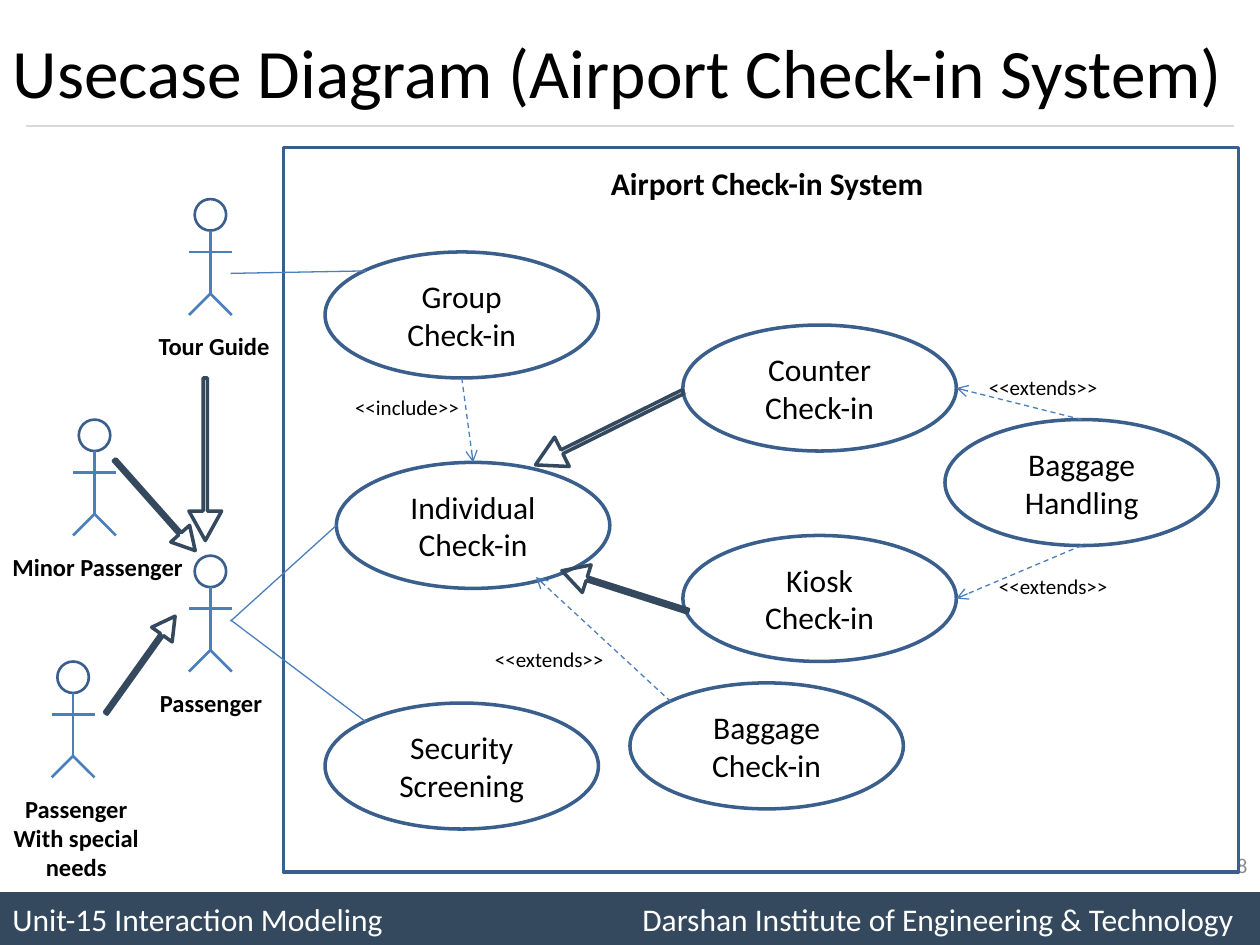
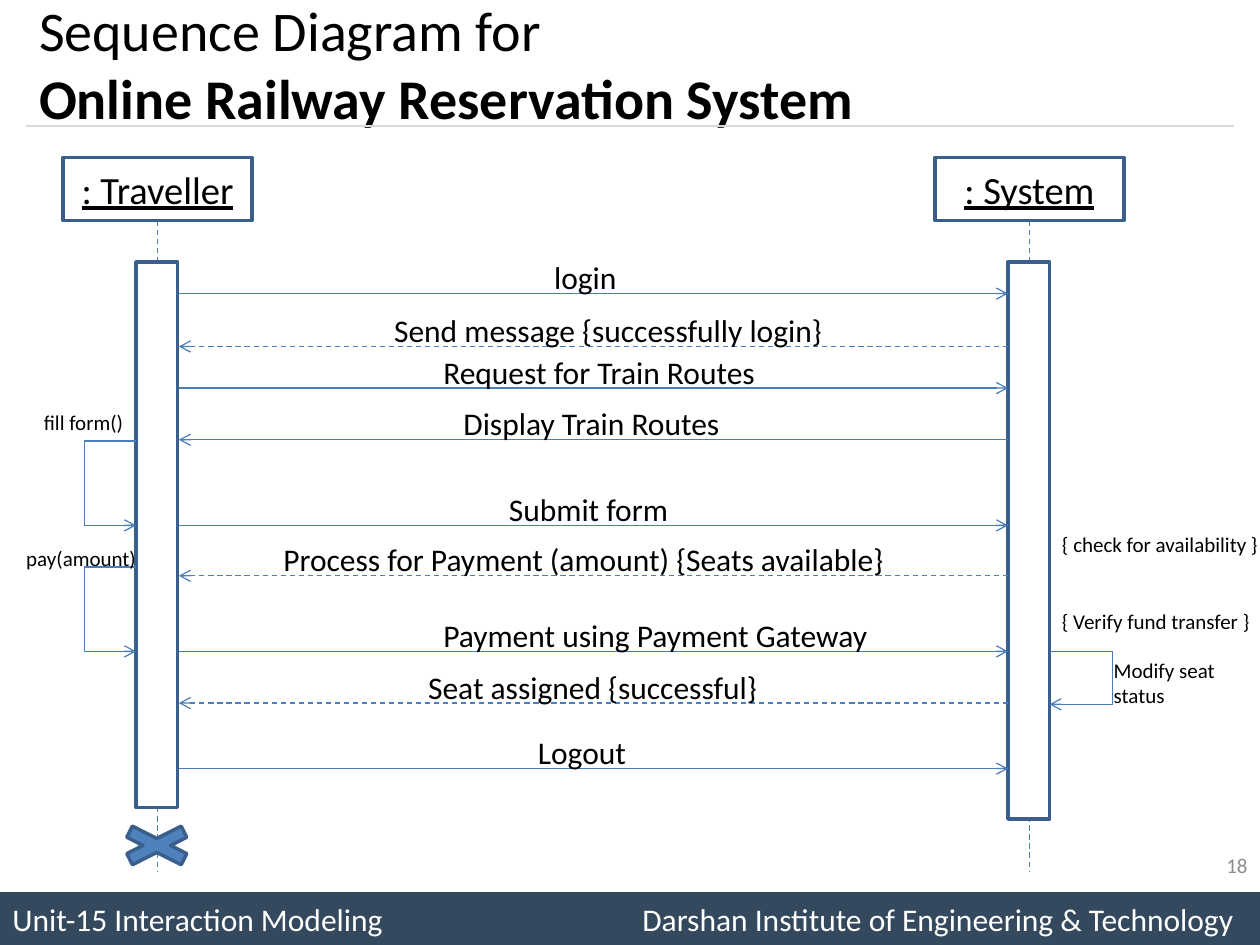
from math import hypot

from lxml.etree import SubElement
from pptx import Presentation
from pptx.dml.color import RGBColor
from pptx.enum.dml import MSO_LINE
from pptx.enum.shapes import MSO_CONNECTOR, MSO_SHAPE as SHAPE
from pptx.enum.text import MSO_ANCHOR as ANCHOR, MSO_AUTO_SIZE as FIT, PP_ALIGN as ALIGN
from pptx.oxml.ns import qn
from pptx.util import Inches, Pt

FONT = "Calibri"
COLORS = {
    "text": "000000", "paper": "FFFFFF", "band": "34495E", "rule": "D9D9D9",
    "number": "8C8C8C", "edge": "3A5F8C", "line": "4B7EBC", "cross": "4F81BD",
}
CASE_W, CASE_H = 2.17, 1
CORNER = (0.15, 0.15)
TOP, BOTTOM, LEFT, RIGHT = (0.5, 0), (0.5, 1), (0, 0.5), (1, 0.5)


def rgb(name):
    return RGBColor.from_string(COLORS[name])


def place(sp, x, y, w, h):
    sp.left, sp.top, sp.width, sp.height = (Inches(v) for v in (x, y, w, h))


def add_run(p, text, size, color="text", bold=False, underline=False):
    r = p.add_run()
    r.text = text
    r.font.name, r.font.size = FONT, Pt(size)
    r.font.bold, r.font.underline = bold, underline
    r.font.color.rgb = rgb(color)


def write(tf, lines, size, align=ALIGN.LEFT, **look):
    for i, text in enumerate(lines):
        p = tf.add_paragraph() if i else tf.paragraphs[0]
        p.alignment = align
        add_run(p, text, size, **look)


def add_label(s, x, y, w, lines, size, align=ALIGN.LEFT, **look):
    h = 0.1 + len(lines) * size * 1.2 / 72
    tf = s.shapes.add_textbox(*(Inches(v) for v in (x, y, w, h))).text_frame
    tf.word_wrap = False
    write(tf, lines, size, align, **look)


def add_box(shapes, kind, x, y, w, h, fill="paper", edge="edge", width=2):
    sp = shapes.add_shape(kind, *(Inches(v) for v in (x, y, w, h)))
    sp.shadow.inherit = False
    sp.fill.solid()
    sp.fill.fore_color.rgb = rgb(fill)
    if edge:
        sp.line.color.rgb = rgb(edge)
        sp.line.width = Pt(width)
    else:
        sp.line.fill.background()
    sp.text_frame.vertical_anchor = ANCHOR.MIDDLE
    return sp


def add_line(shapes, start, end, color="line", width=0.75, dash=False, arrow=False):
    c = shapes.add_connector(MSO_CONNECTOR.STRAIGHT, *(Inches(v) for v in (*start, *end)))
    c.line.color.rgb = rgb(color)
    c.line.width = Pt(width)
    if dash:
        c.line.dash_style = MSO_LINE.DASH
    spPr = c._element.spPr
    if arrow:
        SubElement(spPr.find(qn("a:ln")), qn("a:tailEnd"), type="arrow")
    SubElement(spPr, qn("a:effectLst"))


def add_generalization(s, tail, tip, head):
    dx, dy = tip[0] - tail[0], tip[1] - tail[1]
    length = hypot(dx, dy)
    ux, uy = dx / length, dy / length
    neck, half, shaft = length - 0.9 * head, head / 2, 0.065 * head
    outline = [(0, shaft), (neck, shaft), (neck, half), (length, 0),
               (neck, -half), (neck, -shaft), (0, -shaft)]
    points = [(Inches(tail[0] + a * ux - b * uy), Inches(tail[1] + a * uy + b * ux))
              for a, b in outline]
    fb = s.shapes.build_freeform(*points[0])
    fb.add_line_segments(points[1:], close=True)
    sp = fb.convert_to_shape()
    sp.shadow.inherit = False
    sp.fill.background()
    sp.line.color.rgb = rgb("band")
    sp.line.width = Pt(2)


def add_footer(s, y):
    band = add_box(s.shapes, SHAPE.RECTANGLE, 0, y, 10, 0.42, "band", None)
    p = band.text_frame.paragraphs[0]
    p.alignment = ALIGN.LEFT
    tabs = SubElement(p._p.get_or_add_pPr(), qn("a:tabLst"))
    SubElement(tabs, qn("a:tab"), pos=str(Inches(5)), algn="l")
    add_run(p, "Unit-15 Interaction Modeling\tDarshan Institute of Engineering & Technology",
            18, "paper")


def new_slide(prs, title, size, title_box, number):
    s = prs.slides.add_slide(prs.slide_layouts[5])
    add_footer(s, 7.08)
    add_line(s.shapes, (0.21, 1), (9.79, 1), "rule")
    sp = s.shapes.title
    place(sp, *title_box)
    tf = sp.text_frame
    tf.auto_size, tf.vertical_anchor, tf.word_wrap = FIT.NONE, ANCHOR.MIDDLE, True
    p = tf.paragraphs[0]
    p.alignment = ALIGN.LEFT
    for i, text in enumerate(title):
        if i:
            p.add_line_break()
        add_run(p, text, size, bold=i > 0)
    add_label(s, 7.67, 6.72, 2.33, [number], 12, ALIGN.RIGHT, color="number")
    s.shapes[-1].text_frame.word_wrap = True
    return s


def add_actor(s, cx, y):
    shapes = s.shapes.add_group_shape().shapes
    add_box(shapes, SHAPE.OVAL, cx - 0.125, y, 0.25, 0.25, width=1.5)
    hip = (cx, y + 0.75)
    limbs = [((cx, y + 0.25), hip), ((cx - 0.17, y + 0.42), (cx + 0.17, y + 0.42))]
    limbs += [(hip, (cx + side, y + 0.92)) for side in (-0.17, 0.17)]
    for start, end in limbs:
        add_line(shapes, start, end, width=1.5)


def add_system(s, x, y, w, h):
    add_box(s.shapes, SHAPE.RECTANGLE, x, y, w, h)
    add_label(s, x + 2.5, y + 0.08, 2.71, ["Airport Check-in System"], 18, bold=True)
    cases = {
        "group": (0.33, 0.83, ["Group", "Check-in"]),
        "individual": (0.42, 2.5, ["Individual", "Check-in"]),
        "bags": (2.75, 4.25, ["Baggage", "Check-in"]),
        "counter": (3.17, 1.41, ["Counter", "Check-in"]),
        "kiosk": (3.17, 3.08, ["Kiosk", "Check-in"]),
        "security": (0.33, 4.41, ["Security Screening"]),
        "handling": (5.25, 2.16, ["Baggage Handling"]),
    }
    for dx, dy, lines in cases.values():
        sp = add_box(s.shapes, SHAPE.OVAL, x + dx, y + dy, CASE_W, CASE_H)
        write(sp.text_frame, lines, 18, ALIGN.CENTER)

    def site(name, at):
        dx, dy, _ = cases[name]
        return x + dx + at[0] * CASE_W, y + dy + at[1] * CASE_H

    for a, a_at, b, b_at in [
        ("handling", TOP, "counter", RIGHT),
        ("handling", BOTTOM, "kiosk", RIGHT),
        ("bags", CORNER, "individual", (0.73, 0.91)),
        ("group", BOTTOM, "individual", TOP),
    ]:
        add_line(s.shapes, site(a, a_at), site(b, b_at), dash=True, arrow=True)
    add_generalization(s, (x + 3.17, y + 1.94), (x + 2, y + 2.52), 0.26)
    add_generalization(s, (x + 3.21, y + 3.68), (x + 2.21, y + 3.36), 0.23)
    for dx, dy, text in [(0.47, 1.91, "include"), (1.58, 3.91, "extends"),
                         (5.5, 1.75, "extends"), (5.58, 3.33, "extends")]:
        add_label(s, x + dx, y + dy, 1.07, [f"<<{text}>>"], 12)
    return site


def add_actors(s, x, y, site):
    for cx, top in [(1.67, 2.83), (1.67, 0), (0.75, 1.75), (0.58, 3.67)]:
        add_actor(s, x + cx, y + top)
    for dx, dy, w, lines in [
        (1.16, 1, 1.09, ["Tour Guide"]),
        (0, 2.75, 1.56, ["Minor Passenger"]),
        (1.17, 3.83, 1.02, ["Passenger"]),
        (0, 4.67, 1.21, ["Passenger", "With special", "needs"]),
    ]:
        align = ALIGN.CENTER if len(lines) > 1 else ALIGN.LEFT
        add_label(s, x + dx, y + dy, w, lines, 14, align, bold=True)
    for tail, tip, head in [
        ((1.63, 1.42), (1.63, 2.71), 0.26),
        ((0.91, 2.07), (1.55, 2.79), 0.2),
        ((0.84, 4.08), (1.39, 3.31), 0.2),
    ]:
        add_generalization(s, (x + tail[0], y + tail[1]), (x + tip[0], y + tip[1]), head)
    for dy, case, at in [(0.59, "group", CORNER), (3.35, "individual", LEFT),
                         (3.34, "security", CORNER)]:
        add_line(s.shapes, (x + 1.83, y + dy), site(case, at))


def usecase_slide(prs):
    s = new_slide(prs, ["Usecase Diagram (Airport Check-in System)"], 39.6,
                  (0, 0.12, 10, 0.88), "8")
    site = add_system(s, 2.25, 1.17, 7.58, 5.75)
    add_actors(s, 0, 1.58, site)


def add_lifeline(s, cx, y, name, bar_h):
    add_line(s.shapes, (cx, y + 0.5), (cx, y + 5.67), dash=True)
    sp = add_box(s.shapes, SHAPE.RECTANGLE, cx - 0.75, y, 1.5, 0.5)
    write(sp.text_frame, [name], 22, ALIGN.CENTER, underline=True)
    add_box(s.shapes, SHAPE.RECTANGLE, cx - 0.17, y + 0.83, 0.33, bar_h)


def add_messages(s, x, y, w):
    for dy, dx, text_w, text, back, dash in [
        (0, 2.88, 0.7, "login", False, False),
        (0.42, 1.61, 3.64, "Send message {successfully login}", True, True),
        (0.75, 2, 2.7, "Request for Train Routes", False, False),
        (1.16, 2.16, 2.26, "Display Train Routes", True, False),
        (1.84, 2.52, 1.48, "Submit form", False, False),
        (2.24, 0.73, 5.02, "Process for Payment (amount) {Seats available}", True, True),
        (2.84, 2, 3.6, "Payment using Payment Gateway", False, False),
        (3.25, 1.88, 2.84, "Seat assigned {successful}", True, True),
        (3.77, 2.75, 0.91, "Logout", False, False),
    ]:
        ends = [(x, y + dy), (x + w, y + dy)]
        start, end = reversed(ends) if back else ends
        add_line(s.shapes, start, end, dash=dash, arrow=True)
        add_label(s, x + dx, y + dy - 0.33, text_w, [text], 18)


def add_self_call(s, x, y, w, h):
    corners = [(x, y), (x + w, y), (x + w, y + h), (x, y + h)]
    for i in range(3):
        add_line(s.shapes, corners[i], corners[i + 1], arrow=i == 2)


def sequence_slide(prs):
    s = new_slide(prs, ["Sequence Diagram for", "Online Railway Reservation System"], 32,
                  (0.21, 0, 9.58, 1), "18")
    add_lifeline(s, 1.25, 1.25, ": Traveller", 4.33)
    add_lifeline(s, 8.17, 1.25, ": System", 4.42)
    add_messages(s, 1.42, 2.33, 6.58)
    for box in [(1.08, 3.5, -0.41, 0.67), (1.08, 4.5, -0.41, 0.67), (8.33, 5.17, 0.5, 0.42)]:
        add_self_call(s, *box)
    for x, y, w, lines in [
        (0.25, 3.2, 0.84, ["fill form()"]),
        (0.11, 4.28, 1.08, ["pay(amount)"]),
        (8.33, 4.17, 1.81, ["{ check for availability }"]),
        (8.33, 4.78, 1.7, ["{ Verify fund transfer }"]),
        (8.74, 5.17, 1.05, ["Modify seat", "status"]),
    ]:
        add_label(s, x, y, w, lines, 12)
    add_box(s.shapes, SHAPE.MATH_MULTIPLY, 0.83, 6.5, 0.83, 0.42, "cross")


def main():
    prs = Presentation()
    prs.slide_width, prs.slide_height = Inches(10), Inches(7.5)
    usecase_slide(prs)
    sequence_slide(prs)
    prs.save("out.pptx")


if __name__ == "__main__":
    main()
